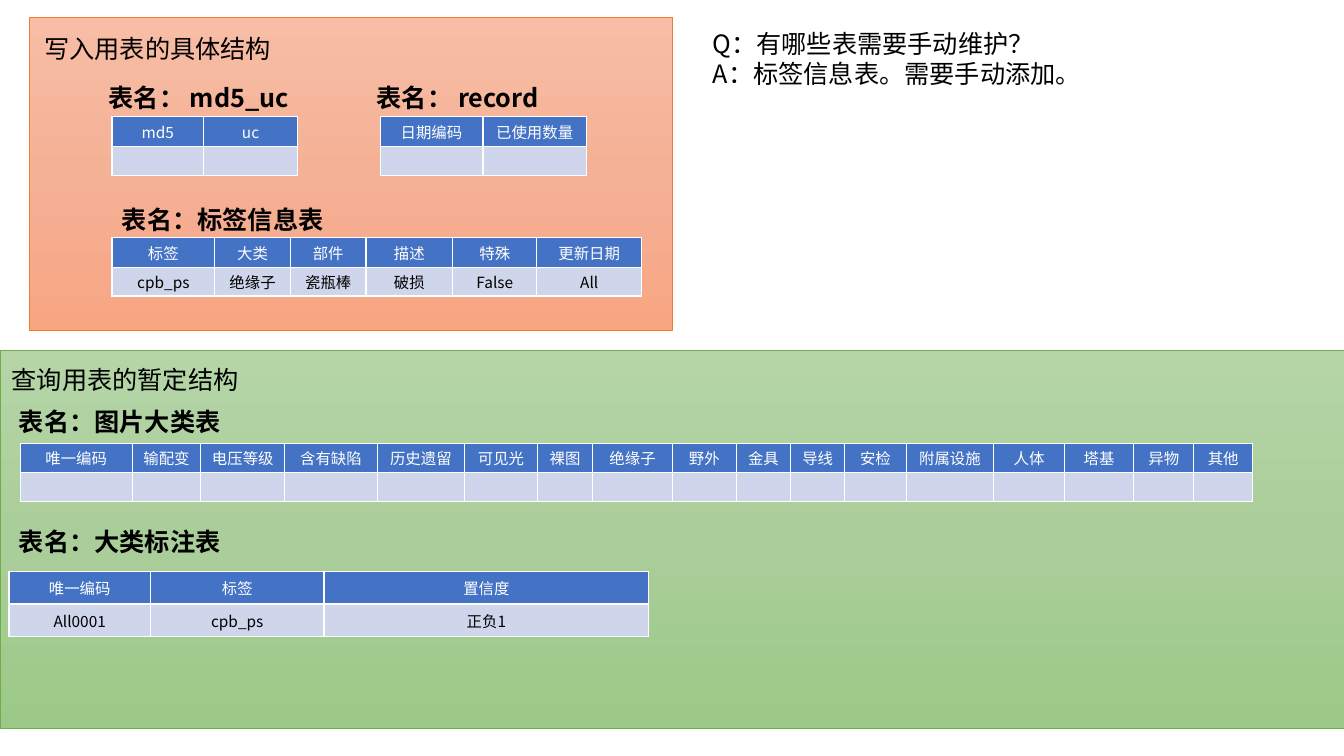
from copy import deepcopy
from lxml import etree
from pptx import Presentation
from pptx import util as u
from pptx.dml.color import RGBColor
from pptx.enum import shapes, text
from pptx.oxml.ns import qn

Pt = u.Pt
FONT = "Noto Sans CJK SC"
HUES = {"ink": "000000", "white": "FFFFFF", "head": "4472C4", "body": "CFD5EA",
        "green": "70AD47", "orange": "ED7D31"}

# Content: panels as place, line colour, gradient stops
PANELS = [
    ((0, 250, 960, 270), "green", ("B5D5A7", "AACE9A", "9CC987")),
    ((21.25, 12.5, 459, 223.5), "orange", ("F7BDA5", "F5B196", "F8A582")),
]
TITLE = ((24.5, 20, 191.5, 29), ["写入用表的具体结构"])
# Labels as place, lines, bold
LABELS = [
    ((1.25, 257, 191.5, 29), ["查询用表的暂定结构"], False),
    ((70.5, 55.5, 165, 29), ["表名： md5_uc"], True),
    ((262, 55.5, 165, 29), ["表名： record"], True),
    ((80, 142.5, 165, 29), ["表名：标签信息表"], True),
    ((6.5, 286.5, 186, 29), ["表名：图片大类表"], True),
    ((6.5, 372.25, 174, 29), ["表名：大类标注表"], True),
    ((502, 16.5, 325, 51), ["Q：有哪些表需要手动维护？", "A：标签信息表。需要手动添加。"], False),
]
# Tables as left, top, row heights, columns of (width, head, value)
TABLES = [
    (80, 83.25, (21.4, 20.6), [(65.5, "md5", ""), (67, "uc", "")]),
    (271.5, 83.25, (21.4, 20.6), [(73.5, "日期编码", ""), (74, "已使用数量", "")]),
    (80, 169.5, (21.4, 20.6), [
        (73.5, "标签", "cpb_ps"), (54, "大类", "绝缘子"), (54, "部件", "瓷瓶棒"),
        (62, "描述", "破损"), (60, "特殊", "False"), (75, "更新日期", "All")]),
    (14.5, 316.75, (20.8, 20.6), [
        (80, "唯一编码", ""), (49, "输配变", ""), (60, "电压等级", ""),
        (66, "含有缺陷", ""), (62.5, "历史遗留", ""), (52, "可见光", ""),
        (39.5, "裸图", ""), (57, "绝缘子", ""), (45.5, "野外", ""),
        (39, "金具", ""), (38.5, "导线", ""), (44, "安检", ""),
        (62.5, "附属设施", ""), (50.5, "人体", ""), (49.5, "塔基", ""),
        (43, "异物", ""), (42, "其他", "")]),
    (6.5, 408.25, (23.2, 23.2), [
        (101, "唯一编码", "All0001"), (124, "标签", "cpb_ps"), (232, "置信度", "正负1")]),
]


def put(obj, vals):
    for key, val in vals.items():
        setattr(obj, key, val)


def box(place):
    return [Pt(v) for v in place]


def rgb(name):
    return RGBColor.from_string(HUES.get(name, name))


def style(para, size, hue, bold=False):
    for run in para.runs:
        put(run.font, {"size": Pt(size), "name": FONT, "bold": bold})
        run.font.color.rgb = rgb(hue)
        etree.SubElement(run.font._element, qn("a:ea"), typeface=FONT)


def write(shape, lines, bold=False):
    frame = shape.text_frame
    frame.text = "\n".join(lines)
    put(frame, {"word_wrap": True, "auto_size": text.MSO_AUTO_SIZE.NONE,
                "vertical_anchor": text.MSO_ANCHOR.TOP})
    for para in frame.paragraphs:
        put(para, {"alignment": text.PP_ALIGN.LEFT, "line_spacing": 1.0})
        style(para, 18, "ink", bold)


def edge(cell):
    props = cell._tc.get_or_add_tcPr()
    for spot, side in enumerate(("lnL", "lnR", "lnT", "lnB")):
        line = etree.Element(qn("a:" + side), w=str(Pt(1)))
        fill = etree.SubElement(line, qn("a:solidFill"))
        etree.SubElement(fill, qn("a:srgbClr"), val=HUES["white"])
        props.insert(spot, line)


def fill_cell(cell, word, back, ink):
    cell.text = word
    put(cell, {"vertical_anchor": text.MSO_ANCHOR.MIDDLE,
               "margin_left": Pt(2), "margin_right": Pt(2),
               "margin_top": Pt(2), "margin_bottom": Pt(2)})
    cell.fill.solid()
    cell.fill.fore_color.rgb = rgb(back)
    edge(cell)
    para = cell.text_frame.paragraphs[0]
    para.alignment = text.PP_ALIGN.CENTER
    style(para, 11, ink)
    if not word:  # keeps empty rows low
        etree.SubElement(para._p, qn("a:endParaRPr"), sz="1100")


deck = Presentation()
put(deck, {"slide_width": Pt(960), "slide_height": Pt(540)})
slide = deck.slides.add_slide(deck.slide_layouts[5])
parts = slide.shapes

# Panels
for place, hue, stops in PANELS:
    panel = parts.add_shape(shapes.MSO_SHAPE.RECTANGLE, *box(place))
    panel.shadow.inherit = False
    panel.line.color.rgb = rgb(hue)
    panel.line.width = Pt(0.5)
    panel.fill.gradient()
    panel.fill.gradient_angle = 270
    ramp = panel._element.xpath(".//a:gsLst")[0]
    ramp.insert(1, deepcopy(ramp[0]))
    for stop, tone, pos in zip(panel.fill.gradient_stops, stops, (0, 0.5, 1)):
        stop.color.rgb = rgb(tone)
        stop.position = pos

# Title, brought in front of the panels
place, lines = TITLE
title = parts.title
put(title, dict(zip(("left", "top", "width", "height"), box(place))))
write(title, lines)
panel._element.addnext(title._element)

# Tables
for left, top, highs, cols in TABLES:
    size = (sum(c[0] for c in cols), sum(highs))
    grid = parts.add_table(2, len(cols), *box((left, top, *size))).table
    for row, high in zip(grid.rows, highs):
        row.height = Pt(high)
    for i, (wide, head, value) in enumerate(cols):
        grid.columns[i].width = Pt(wide)
        fill_cell(grid.cell(0, i), head, "head", "white")
        fill_cell(grid.cell(1, i), value, "body", "ink")

# Labels
for place, lines, bold in LABELS:
    write(parts.add_textbox(*box(place)), lines, bold)

deck.save("out.pptx")
